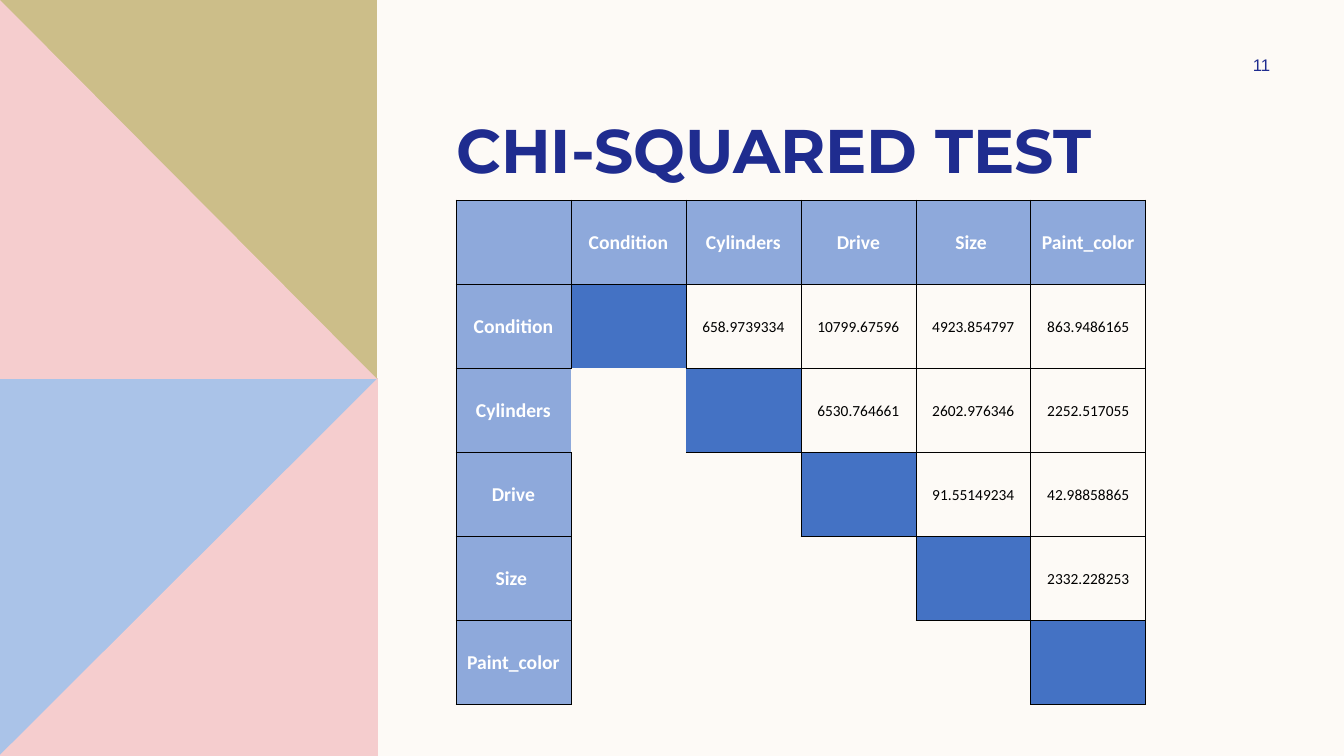
"""Build the chi-squared test slide with its triangular table of statistics."""
from lxml import etree
from pptx import Presentation
from pptx import util as u
from pptx.dml.color import RGBColor
from pptx.enum import text
from pptx.oxml import ns

PX = 914400 / 100.8

CREAM = RGBColor(0xFD, 0xFA, 0xF6)
SKY = RGBColor(0xAA, 0xC3, 0xE8)
PINK = RGBColor(0xF5, 0xCD, 0xCE)
GOLD = RGBColor(0xCC, 0xBE, 0x89)
NAVY = RGBColor(0x1F, 0x2C, 0x8F)
HEADER_BLUE = RGBColor(0x8E, 0xA9, 0xDB)
DIAGONAL_BLUE = RGBColor(0x44, 0x72, 0xC4)
WHITE = RGBColor(0xFF, 0xFF, 0xFF)
BLACK = RGBColor(0x00, 0x00, 0x00)

VARIABLES = ["Condition", "Cylinders", "Drive", "Size ", "Paint_color"]
STATISTICS = [
    ["658.9739334", "10799.67596", "4923.854797", "863.9486165"],
    ["6530.764661", "2602.976346", "2252.517055"],
    ["91.55149234", "42.98858865"],
    ["2332.228253"],
    [],
]
COUNT = len(VARIABLES) + 1
OPEN_CELL = (2, 1)
SIDES = {"lnL": (0, -1), "lnR": (0, 1), "lnT": (-1, 0), "lnB": (1, 0)}

PANELS = [
    (SKY, [(0, 378), (378, 378), (378, 756), (0, 756)]),
    (PINK, [(378, 378), (378, 756), (0, 756), (0, 755)]),
    (GOLD, [(0, 0), (377, 0), (377, 379), (0, 379)]),
    (PINK, [(0, 0), (377, 379), (0, 379)]),
]


def px(*lengths):
    """Turn pixel lengths into EMU."""
    return [u.Emu(round(length * PX)) for length in lengths]


def format_text(frame, font_name, size, color, bold, alignment):
    """Format every run of a text frame and centre it vertically."""
    frame.vertical_anchor = text.MSO_ANCHOR.MIDDLE
    for paragraph in frame.paragraphs:
        paragraph.alignment = alignment
        for run in paragraph.runs:
            run.font.name = font_name
            run.font.size = u.Pt(size)
            run.font.bold = bold
            run.font.color.rgb = color


def add_panel(slide, color, points):
    """Draw one filled polygon of the side decoration."""
    builder = slide.shapes.build_freeform(*points[0], scale=PX)
    builder.add_line_segments(points[1:], close=True)
    shape = builder.convert_to_shape()
    shape.shadow.inherit = False
    shape.fill.solid()
    shape.fill.fore_color.rgb = color
    shape.line.fill.background()


def add_title(slide, words):
    """Place and format the title placeholder."""
    title = slide.shapes.title
    title.left, title.top, title.width, title.height = px(446, 106, 802, 85)
    frame = title.text_frame
    frame.text = words
    frame.auto_size = text.MSO_AUTO_SIZE.NONE
    format_text(frame, "Montserrat", 44, NAVY, True, text.PP_ALIGN.LEFT)


def add_page_number(slide, number):
    """Write the page number at the top right."""
    frame = slide.shapes.add_textbox(*px(1207, 50, 109, 30)).text_frame
    frame.word_wrap = True
    frame.text = number
    format_text(frame, "Arial", 12, NAVY, False, text.PP_ALIGN.CENTER)


def is_used(row, column):
    """Tell whether a position is a heading or in the upper triangle."""
    inside = 0 <= row < COUNT and 0 <= column < COUNT
    return inside and (column == 0 or column >= row)


def set_borders(cell, row, column):
    """Line the edges of used cells, leaving the open cell free."""
    properties = cell._tc.get_or_add_tcPr()
    for index, (side, (down, right)) in enumerate(SIDES.items()):
        here, beyond = (row, column), (row + down, column + right)
        drawn = OPEN_CELL not in (here, beyond) and (is_used(*here) or is_used(*beyond))
        line = etree.Element(ns.qn(f"a:{side}"), w=str(u.Pt(0.5)))
        if drawn:
            fill = etree.SubElement(line, ns.qn("a:solidFill"))
            etree.SubElement(fill, ns.qn("a:srgbClr"), val=str(BLACK))
        else:
            etree.SubElement(line, ns.qn("a:noFill"))
        properties.insert(index, line)


def cell_content(row, column):
    """Return the wording and fill colour of a cell."""
    if row == 0 or column == 0:
        return ["", *VARIABLES][row + column], HEADER_BLUE
    if row == column:
        return "", DIAGONAL_BLUE
    if column > row:
        return STATISTICS[row - 1][column - row - 1], None
    return "", None


def fill_cell(cell, row, column):
    """Write, colour and border one table cell."""
    words, color = cell_content(row, column)
    cell.margin_left = cell.margin_right = cell.margin_top = u.Inches(0.01)
    cell.margin_bottom = 0
    cell.vertical_anchor = text.MSO_ANCHOR.MIDDLE
    if color is None:
        cell.fill.background()
    else:
        cell.fill.solid()
        cell.fill.fore_color.rgb = color
    if words:
        cell.text_frame.text = words
        heading = color == HEADER_BLUE
        size, ink = (14, WHITE) if heading else (11, BLACK)
        format_text(cell.text_frame, "Calibri", size, ink, heading, text.PP_ALIGN.CENTER)
        cell.vertical_anchor = text.MSO_ANCHOR.MIDDLE
    set_borders(cell, row, column)


def add_statistics_table(slide):
    """Add the table of pairwise chi-squared statistics."""
    frame = slide.shapes.add_table(COUNT, COUNT, *px(456, 200, 690, 505))
    table = frame.table
    table.first_row = table.horz_banding = False
    for row in range(COUNT):
        for column in range(COUNT):
            fill_cell(table.cell(row, column), row, column)


def main():
    """Build and save the slide."""
    presentation = Presentation()
    presentation.slide_width, presentation.slide_height = px(1344, 756)
    slide = presentation.slides.add_slide(presentation.slide_layouts[5])
    slide.background.fill.solid()
    slide.background.fill.fore_color.rgb = CREAM
    for color, points in PANELS:
        add_panel(slide, color, points)
    add_title(slide, "CHI-SQUARED TEST")
    add_page_number(slide, "11")
    add_statistics_table(slide)
    presentation.save("out.pptx")


if __name__ == "__main__":
    main()
